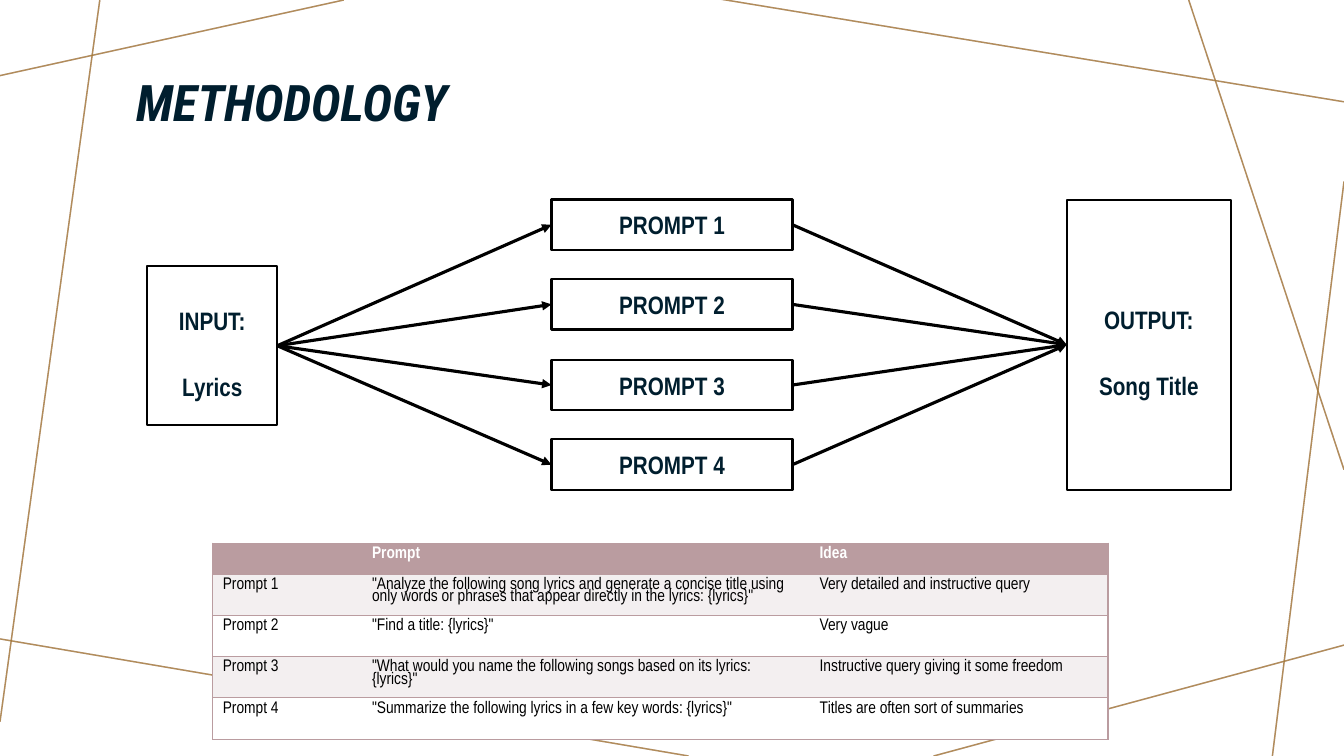
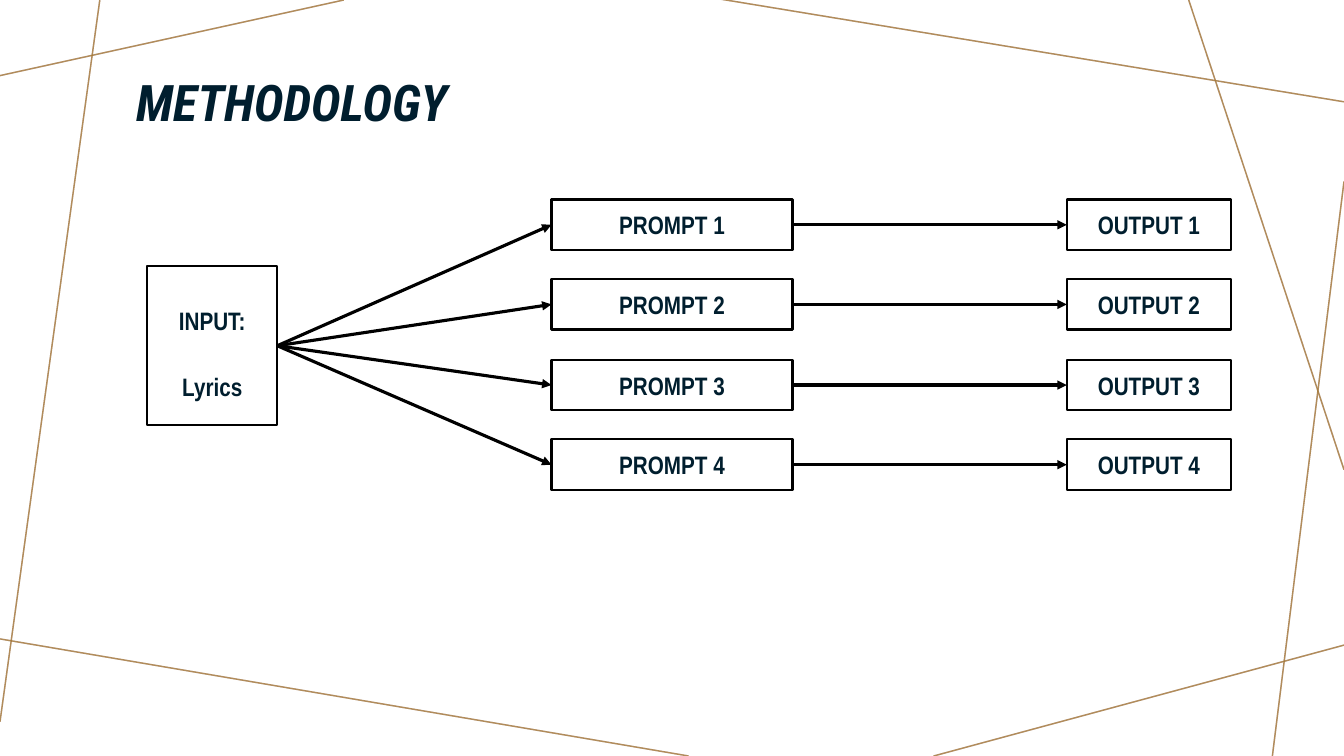
from lxml import etree
from pptx import Presentation
from pptx import util as u
from pptx.dml.color import RGBColor
from pptx.enum import shapes, text
from pptx.oxml import ns

PX = 9144  # EMU per px, 100 px to the inch
SLIDE_WIDTH, SLIDE_HEIGHT = 1333, 750
TITLE_ONLY = 5
TOP, LEFT, BOTTOM, RIGHT = range(4)

INK, BLACK, WHITE = "001E2E", "000000", "FFFFFF"
MAUVE, PALE, GOLD = "BA9CA0", "F3EFF0", "A57931"
TITLE_FONT, BODY_FONT = "Roboto Condensed", "Arial Narrow"

BACKDROP = [
    (341, 0, 0, 75), (99, 0, 0, 716), (683, 750, -5, 633), (1333, 640, 926, 750),
    (1333, 180, 1262, 750), (1333, 466, 1179, 0), (1333, 101, 714, -1),
]
PROMPT_NAMES = [f"PROMPT {number}" for number in range(1, 5)]
OUTPUT_NAMES = [f"OUTPUT {number}" for number in range(1, 5)]
FLOW_BOX = (146, 198, 1075, 288)
TABLE_BOX = (211, 539, 888, 190)
TABLE_ROWS = [
    ("", "Prompt", "Idea"),
    ("Prompt 1", '"Analyze the following song lyrics and generate a concise title using only '
     'words or phrases that appear directly in the lyrics: {lyrics}"',
     "Very detailed and instructive query"),
    ("Prompt 2", '"Find a title: {lyrics}"', "Very vague"),
    ("Prompt 3", '"What would you name the following songs based on its lyrics: {lyrics}"',
     "Instructive query giving it some freedom"),
    ("Prompt 4", '"Summarize the following lyrics in a few key words: {lyrics}"',
     "Titles are often sort of summaries"),
]


def px(*lengths):
    return [u.Emu(round(length) * PX) for length in lengths]


def colour(code):
    return RGBColor.from_string(code)


def child(parent, tag, **attributes):
    return etree.SubElement(parent, ns.qn(tag), attributes)


def format_para(para, font, size, code, bold=True, italic=False):
    for span in para.runs:
        span.font.name, span.font.size = font, u.Pt(size)
        span.font.bold, span.font.italic = bold, italic
        span.font.color.rgb = colour(code)


def add_line(page, ends, code, weight):
    line = page.shapes.add_connector(shapes.MSO_CONNECTOR.STRAIGHT, *px(*ends))
    line.line.color.rgb = colour(code)
    line.line.width = u.Pt(weight)
    child(line.element.spPr, "a:effectLst")
    return line


def add_backdrop(page, layout):
    """Draw the crossing lines and move them to the layout, for all slides."""
    number = 100
    for code in (MAUVE, GOLD):
        for ends in BACKDROP:
            line = add_line(page, ends, code, 1)
            tint = line.element.spPr.find(".//" + ns.qn("a:srgbClr"))
            child(tint, "a:alpha", val="70000")
            line.element.nvCxnSpPr.cNvPr.set("id", str(number))
            layout.shapes.element.append(line.element)
            number += 1


def add_page(deck, heading):
    page = deck.slides.add_slide(deck.slide_layouts[TITLE_ONLY])
    title = page.shapes.title
    title.left, title.top, title.width, title.height = px(125, 58, 1083, 78)
    frame = title.text_frame
    frame.text = heading
    frame.auto_size = text.MSO_AUTO_SIZE.NONE
    frame.vertical_anchor = text.MSO_ANCHOR.BOTTOM
    para = frame.paragraphs[0]
    para.alignment, para.line_spacing = text.PP_ALIGN.LEFT, 0.9
    format_para(para, TITLE_FONT, 36, INK, italic=True)
    return page


def add_box(page, box, label, line_spacing=1.0):
    shape = page.shapes.add_shape(shapes.MSO_SHAPE.RECTANGLE, *px(*box))
    shape.shadow.inherit = False
    shape.fill.background()
    shape.line.color.rgb = colour(BLACK)
    shape.line.width = u.Pt(1.5)
    frame = shape.text_frame
    frame.text = label
    frame.word_wrap = True
    frame.vertical_anchor = text.MSO_ANCHOR.MIDDLE
    for para in frame.paragraphs:
        para.alignment, para.line_spacing = text.PP_ALIGN.CENTER, line_spacing
        para.space_before, para.space_after = u.Pt(10), u.Pt(5)
        format_para(para, BODY_FONT, 18, INK)
    return shape


def add_column(page, box, labels, item_height=50):
    """Stack one box per label with equal gaps, filling the height."""
    left, top, width, height = box
    pitch = (height - item_height) / (len(labels) - 1)
    return [add_box(page, (left, top + row * pitch, width, item_height), label)
            for row, label in enumerate(labels)]


def add_arrow(page, source, target):
    arrow = add_line(page, (0, 0, 0, 0), BLACK, 2.25)
    arrow.begin_connect(source, RIGHT)
    arrow.end_connect(target, LEFT)
    child(arrow.get_or_add_ln(), "a:tailEnd", type="triangle")


def add_flow(page, box, merged):
    """Input to four prompts, then to one merged output or one output each."""
    left, top, width, height = box
    source = add_box(page, (left, top + 66, 129, 158), "INPUT:\nLyrics", 1.5)
    prompts = add_column(page, (left + 401, top, 239, height), PROMPT_NAMES)
    output_box = (left + width - 163, top, 163, height)
    if merged:
        outputs = [add_box(page, output_box, "OUTPUT:\nSong Title", 1.5)] * len(prompts)
    else:
        outputs = add_column(page, output_box, OUTPUT_NAMES)
    for prompt, output in zip(prompts, outputs):
        add_arrow(page, source, prompt)
        add_arrow(page, prompt, output)


def set_borders(cell, visible):
    """Draw the named sides of the cell and clear the others."""
    properties = cell._tc.get_or_add_tcPr()
    for position, side in enumerate("LRTB"):
        border = etree.Element(ns.qn(f"a:ln{side}"), w=str(u.Pt(1)))
        if side in visible:
            child(child(border, "a:solidFill"), "a:srgbClr", val=MAUVE)
        else:
            child(border, "a:noFill")
        properties.insert(position, border)


def add_prompt_table(page, box):
    left, top, width, height = box
    header_height = 26
    row_height = (height - header_height) / (len(TABLE_ROWS) - 1)
    table = page.shapes.add_table(len(TABLE_ROWS), 3, *px(*box)).table
    for column, share in zip(table.columns, (1, 3, 2)):
        column.width = px(width * share / 6)[0]
    for row, entries in enumerate(TABLE_ROWS):
        header = row == 0
        table.rows[row].height = px(header_height if header else row_height)[0]
        for index, entry in enumerate(entries):
            cell = table.cell(row, index)
            cell.text = entry
            cell.fill.solid()
            cell.fill.fore_color.rgb = colour(MAUVE if header else PALE if row % 2 else WHITE)
            set_borders(cell, ("LTB", "TB", "RTB")[index])
            para = cell.text_frame.paragraphs[0]
            para.line_spacing = 0.8
            para.font.size = u.Pt(12)
            format_para(para, BODY_FONT, 12, WHITE if header else BLACK, bold=header)


def main():
    deck = Presentation()
    deck.slide_width, deck.slide_height = px(SLIDE_WIDTH, SLIDE_HEIGHT)

    merged_page = add_page(deck, "METHODOLOGY")
    add_backdrop(merged_page, deck.slide_layouts[TITLE_ONLY])
    add_flow(merged_page, FLOW_BOX, merged=True)
    add_prompt_table(merged_page, TABLE_BOX)

    separate_page = add_page(deck, "METHODOLOGY")
    add_flow(separate_page, FLOW_BOX, merged=False)

    deck.save("out.pptx")


if __name__ == "__main__":
    main()
